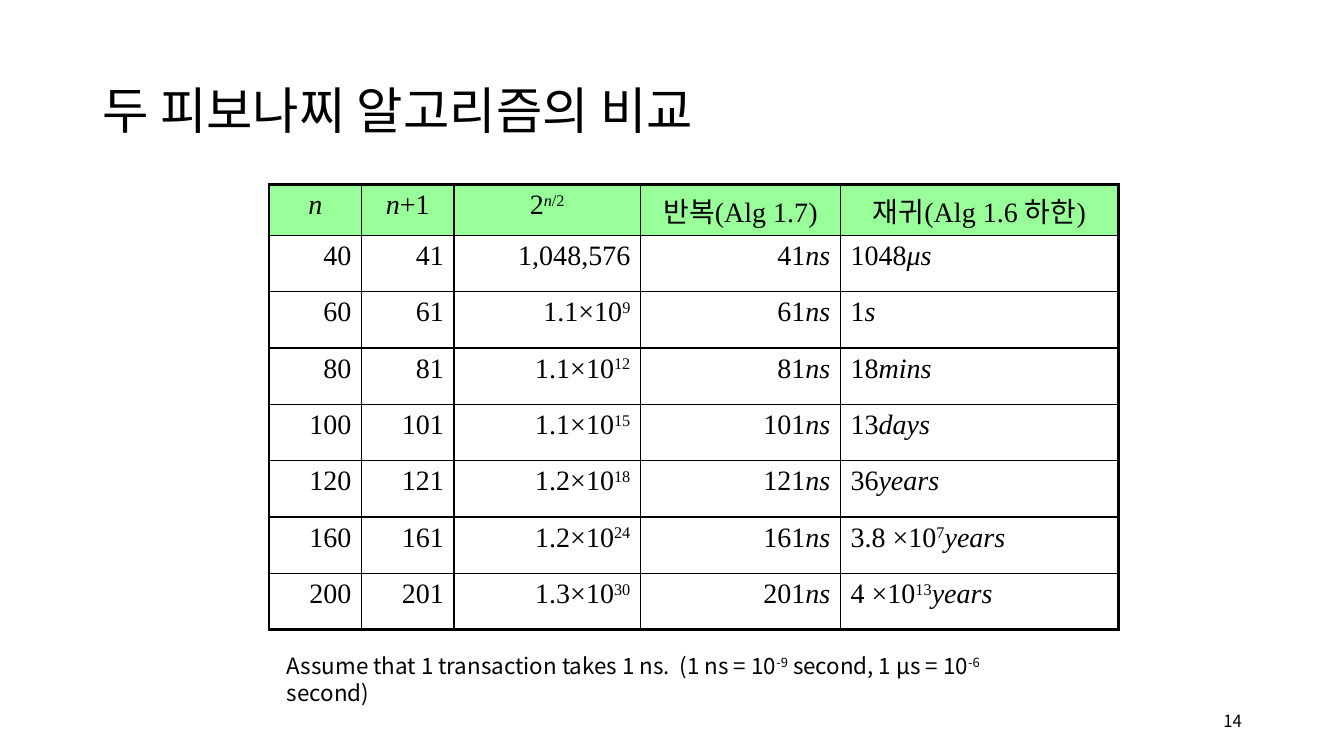
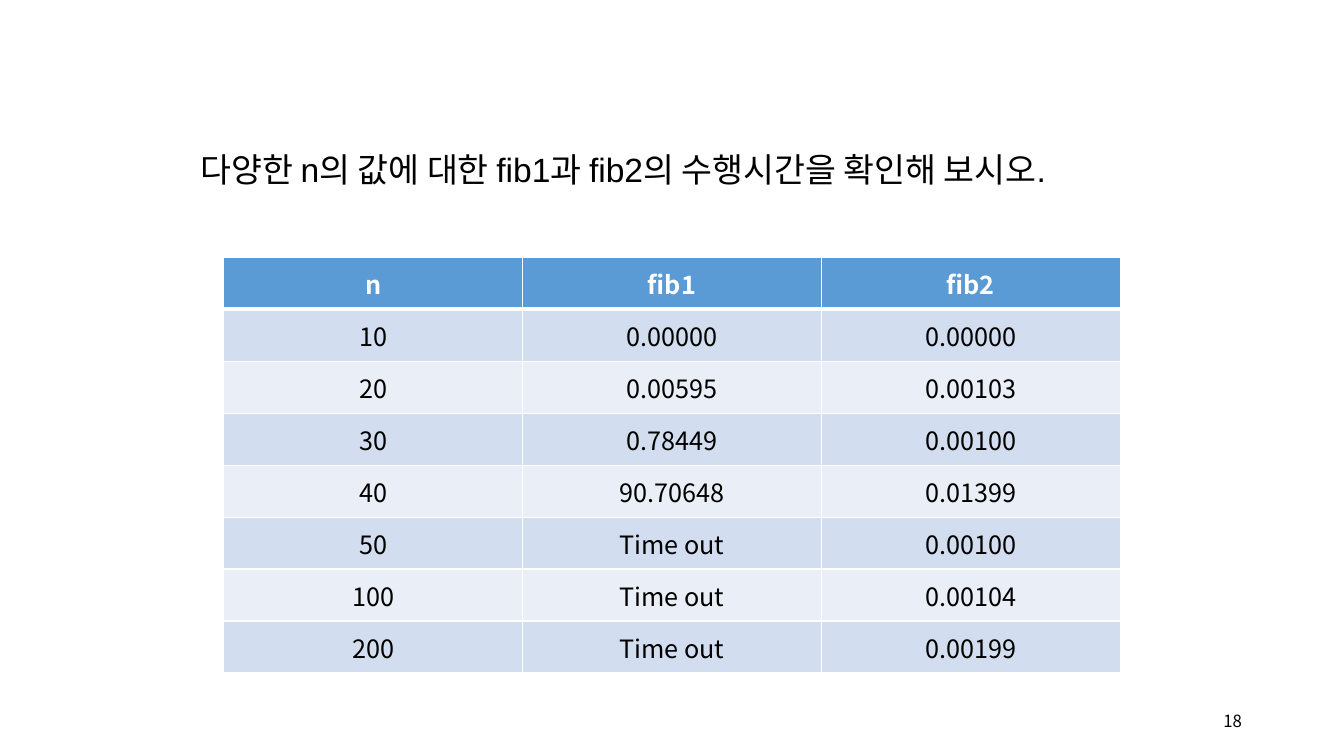
from lxml import etree
from pptx import Presentation
from pptx.dml.color import RGBColor
from pptx.enum.text import MSO_ANCHOR, PP_ALIGN
from pptx.oxml.ns import qn
from pptx.util import Cm, Pt

LEFT, CENTER, RIGHT = PP_ALIGN.LEFT, PP_ALIGN.CENTER, PP_ALIGN.RIGHT
TOP, MIDDLE = MSO_ANCHOR.TOP, MSO_ANCHOR.MIDDLE
TITLE_ONLY, BLANK = 5, 6

SANS, SERIF, ARIAL = "Noto Sans CJK KR", "Times New Roman", "Arial"
BLACK, WHITE = "000000", "FFFFFF"
GREEN, BLUE = "99FF99", "5B9BD5"
BANDS = ("D2DEEF", "EAEFF7")

# Text runs are split at "|"; a leading "^" raises a run, a leading "_" makes it italic.
TITLE = "두 피보나찌 알고리즘의 비교"
CAPTION = ("Assume that 1 transaction takes 1 ns.  (1 ns = 10|^-9| second, "
           "1 μs = 10|^-6| second)")
COMPARE_HEAD = ("_n", "_n|+1", "2|^_n|^/2", "반복(Alg 1.7)", "재귀(Alg 1.6 하한)")
COMPARE = [  # n, 2^(n/2), lower bound of the recursive version
    (40, "1,048,576", "1048|_μs"),
    (60, "1.1×10|^9", "1|_s"),
    (80, "1.1×10|^12", "18|_mins"),
    (100, "1.1×10|^15", "13|_days"),
    (120, "1.2×10|^18", "36|_years"),
    (160, "1.2×10|^24", "3.8 ×10|^7|_years"),
    (200, "1.3×10|^30", "4 ×10|^13|_years"),
]
COMPARE_COLS = (2.33, 2.33, 4.7, 5.04, 7)

STATEMENT = "다양한 n의 값에 대한 fib1과 fib2의 수행시간을 확인해 보시오."
TIMES = [
    ("n", "fib1", "fib2"),
    ("10", "0.00000", "0.00000"),
    ("20", "0.00595", "0.00103"),
    ("30", "0.78449", "0.00100"),
    ("40", "90.70648", "0.01399"),
    ("50", "Time out", "0.00100"),
    ("100", "Time out", "0.00104"),
    ("200", "Time out", "0.00199"),
]


def rgb(color):
    """Turn a hex string into a colour."""
    return RGBColor.from_string(color)


def write(tf, text, size, font=SANS, color=BLACK, bold=False, align=LEFT,
          anchor=TOP, spacing=None):
    """Write one paragraph of marked-up runs into a text frame."""
    tf.word_wrap, tf.vertical_anchor = True, anchor
    p = tf.paragraphs[0]
    p.alignment = align
    if spacing:
        p.line_spacing = spacing
    for part in text.split("|"):
        raised = part.startswith("^")
        part = part.removeprefix("^")
        r = p.add_run()
        r.text = part.removeprefix("_")
        r.font.size, r.font.name, r.font.bold = Pt(size), font, bold
        r.font.italic = part.startswith("_")
        r.font.color.rgb = rgb(color)
        r_pr = r.font._element
        etree.SubElement(r_pr, qn("a:ea")).set("typeface", SANS)
        if raised:
            r_pr.set("baseline", "30000")


def add_text(s, box, text, size, **style):
    """Add a text box; box is left, top, width, height in cm."""
    sp = s.shapes.add_textbox(*map(Cm, box))
    write(sp.text_frame, text, size, **style)


def add_number(s, number):
    """Add the page number at the lower right."""
    add_text(s, (23.93, 17.65, 7.62, 1.02), str(number), 12,
             align=RIGHT, anchor=MIDDLE)


def add_grid(s, left, top, widths, heights):
    """Add an unstyled table with the given column widths and row heights."""
    table = s.shapes.add_table(len(heights), len(widths), Cm(left), Cm(top),
                               Cm(sum(widths)), Cm(sum(heights))).table
    table.first_row = table.horz_banding = False
    for column, width in zip(table.columns, widths):
        column.width = Cm(width)
    for row, height in zip(table.rows, heights):
        row.height = Cm(height)
    return table


def style_cell(cell, fill, line, widths):
    """Set fill and borders; widths are left, right, top, bottom in points."""
    tc_pr = cell._tc.get_or_add_tcPr()
    for side, width in zip("LRTB", widths):
        ln = etree.SubElement(tc_pr, qn("a:ln" + side), w=str(Pt(width)))
        solid = etree.SubElement(ln, qn("a:solidFill"))
        etree.SubElement(solid, qn("a:srgbClr"), val=line)
    if fill:
        cell.fill.solid()
        cell.fill.fore_color.rgb = rgb(fill)
    else:
        cell.fill.background()


def comparison_slide(prs):
    """Build the comparison of the two algorithms."""
    s = prs.slides.add_slide(prs.slide_layouts[TITLE_ONLY])
    title = s.shapes.title
    title.left, title.top, title.width, title.height = map(
        Cm, (2.33, 1.02, 29.21, 3.68))
    write(title.text_frame, TITLE, 36, anchor=MIDDLE, spacing=0.9)

    rows = [COMPARE_HEAD] + [(str(n), str(n + 1), power, f"{n + 1}|_ns", bound)
                             for n, power, bound in COMPARE]
    last_row, last_col = len(rows) - 1, len(COMPARE_COLS) - 1
    table = add_grid(s, 6.78, 4.65, COMPARE_COLS, [1.19] + [1.42] * last_row)
    for i, row in enumerate(rows):
        for j, text in enumerate(row):
            outer = (j == 0, j == last_col, i == 0, i == last_row)
            cell = table.cell(i, j)
            style_cell(cell, GREEN if i == 0 else None, BLACK,
                       [2.25 if edge else 1 for edge in outer])
            align = CENTER if i == 0 else LEFT if j == last_col else RIGHT
            write(cell.text_frame, text, 20, font=SERIF, align=align)
    add_text(s, (6.98, 16.3, 18.52, 1.81), CAPTION, 16)
    add_number(s, 14)


def timing_slide(prs):
    """Build the table of measured running times."""
    s = prs.slides.add_slide(prs.slide_layouts[BLANK])
    add_text(s, (4.8, 3.12, 24.69, 1.81), STATEMENT, 24, font=ARIAL, spacing=1.5)
    table = add_grid(s, 5.64, 6.48, [7.53] * 3, [1.31] * len(TIMES))
    for i, row in enumerate(TIMES):
        head = i == 0
        for j, text in enumerate(row):
            cell = table.cell(i, j)
            style_cell(cell, BLUE if head else BANDS[(i - 1) % 2], WHITE,
                       (1, 1, 3 if i == 1 else 1, 3 if head else 1))
            write(cell.text_frame, text, 18, color=WHITE if head else BLACK,
                  bold=head, align=CENTER)
            cell.vertical_anchor = MIDDLE
    add_number(s, 18)


def main():
    """Build and save the slides."""
    prs = Presentation()
    prs.slide_width, prs.slide_height = Cm(33.87), Cm(19.05)
    comparison_slide(prs)
    timing_slide(prs)
    prs.save("out.pptx")


main()
